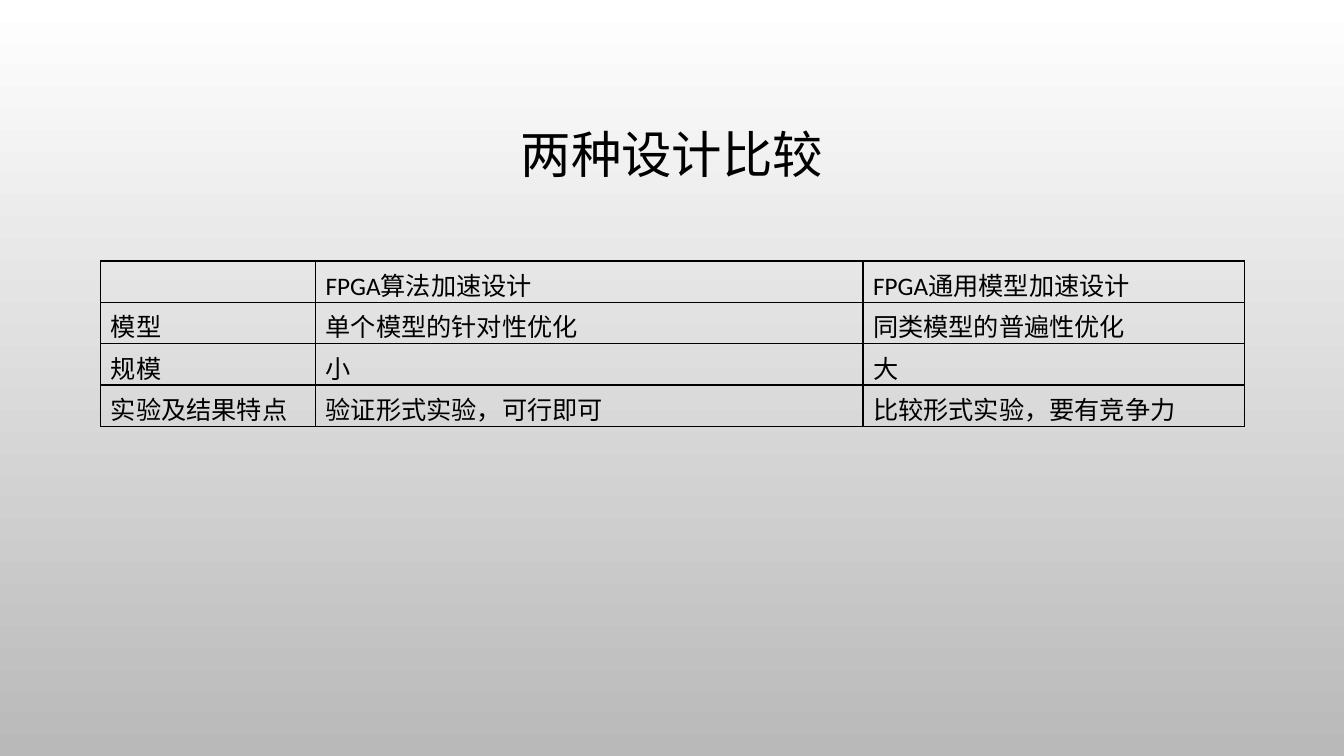
import pptx
import pptx.util
import pptx.dml.color
import pptx.enum.text
import pptx.oxml.ns
from lxml import etree

Inches, Pt = pptx.util.Inches, pptx.util.Pt
COLORS = {"text": "000000", "border": "000000", "top": "FFFFFF", "bottom": "B9B9B9"}
TITLE = "两种设计比较"
ROWS = [
    ("", "FPGA算法加速设计", "FPGA通用模型加速设计"),
    ("模型", "单个模型的针对性优化", "同类模型的普遍性优化"),
    ("规模", "小", "大"),
    ("实验及结果特点", "验证形式实验，可行即可", "比较形式实验，要有竞争力"),
]
COL_WIDTHS = (2.13, 5.43, 3.78)
ROW_HEIGHT = 0.41
LEFT, WIDTH = 1, 11.33
TITLE_FONT = {"name": "Calibri", "size": Pt(36), "bold": False}
CELL_FONT = {"name": "Calibri", "size": Pt(18), "bold": False}


def rgb(key):
    return pptx.dml.color.RGBColor.from_string(COLORS[key])


def write(p, text, font):
    r = p.add_run()
    r.text = text
    for name, value in font.items():
        setattr(r.font, name, value)
    r.font.color.rgb = rgb("text")


def add_borders(cell):
    qn = pptx.oxml.ns.qn
    tcPr = cell._tc.get_or_add_tcPr()
    for side in ("lnL", "lnR", "lnT", "lnB"):
        ln = etree.SubElement(tcPr, qn("a:" + side), w=str(Pt(1)))
        fill = etree.SubElement(ln, qn("a:solidFill"))
        etree.SubElement(fill, qn("a:srgbClr"), val=COLORS["border"])


def main():
    prs = pptx.Presentation()
    prs.slide_width, prs.slide_height = Inches(13.33), Inches(7.5)
    s = prs.slides.add_slide(prs.slide_layouts[6])

    bg = s.background.fill
    bg.gradient()
    bg.gradient_angle = 270
    for stop, key, position in zip(bg.gradient_stops, ("top", "bottom"), (0, 1)):
        stop.color.rgb = rgb(key)
        stop.position = position

    tf = s.shapes.add_textbox(Inches(LEFT), Inches(0.68), Inches(WIDTH), Inches(1.75)).text_frame
    tf.word_wrap = True
    tf.vertical_anchor = pptx.enum.text.MSO_ANCHOR.MIDDLE
    p = tf.paragraphs[0]
    p.alignment = pptx.enum.text.PP_ALIGN.CENTER
    p.line_spacing = 0.9
    write(p, TITLE, TITLE_FONT)

    table = s.shapes.add_table(
        len(ROWS), len(COL_WIDTHS), Inches(LEFT), Inches(2.59),
        Inches(WIDTH), Inches(ROW_HEIGHT * len(ROWS))).table
    table.first_row = table.horz_banding = False
    for column, width in zip(table.columns, COL_WIDTHS):
        column.width = Inches(width)
    for row, texts in zip(table.rows, ROWS):
        row.height = Inches(ROW_HEIGHT)
        for cell, text in zip(row.cells, texts):
            add_borders(cell)
            cell.fill.background()
            if text:
                write(cell.text_frame.paragraphs[0], text, CELL_FONT)

    prs.save("out.pptx")


if __name__ == "__main__":
    main()
